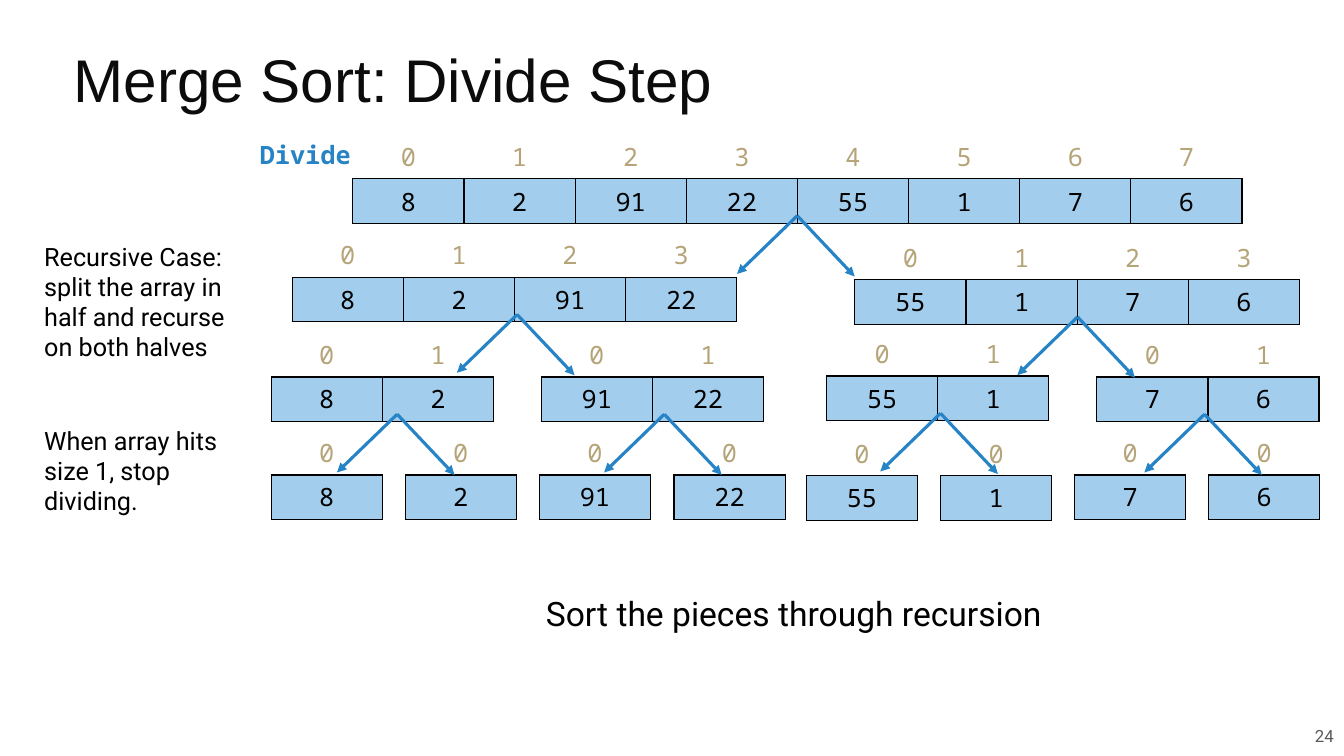
from dataclasses import dataclass

from lxml import etree
from pptx import Presentation
from pptx.dml.color import RGBColor
from pptx.enum.shapes import MSO_CONNECTOR
from pptx.enum.text import MSO_ANCHOR, PP_ALIGN
from pptx.oxml.ns import qn
from pptx.util import Pt

LEFT, CENTER, RIGHT = PP_ALIGN.LEFT, PP_ALIGN.CENTER, PP_ALIGN.RIGHT
TOP, MIDDLE = MSO_ANCHOR.TOP, MSO_ANCHOR.MIDDLE
STRAIGHT = MSO_CONNECTOR.STRAIGHT
TITLE_ONLY = 5


@dataclass(frozen=True)
class Theme:
    white: str = "FFFFFF"
    black: str = "000000"
    title: str = "0C0C0C"
    index: str = "B6A479"
    cell: str = "A2CDED"
    accent: str = "2683C6"
    page_number: str = "595959"
    heading_font: str = "Arial"
    body_font: str = "Roboto"
    code_font: str = "Noto Sans Mono"
    heading_size: float = 43
    summary_size: float = 24
    body_size: float = 18
    small_size: float = 12


THEME = Theme()

VALUES = [8, 2, 91, 22, 55, 1, 7, 6]
COLUMN_WIDTH = 79.4
ROW_HEIGHT = 29.2
TOP_ROW_HEIGHT = 32
FORK_DROP = 58.3
FORK_ARMS = [(-43, 41.6), (41, 43.4)]

# One list per recursion depth: left and top of each piece, x of its fork
LEVELS = [
    [(252, 95.8, 569.5)],
    [(208.7, 166.4, 369.4), (610.6, 168.1, 769.7)],
    [(193.7, 237.6, 283.7), (386.6, 237.6, 474.5),
     (590.4, 236.9, 671.8), (783.4, 237.6, 860.4)],
    [(193.7, 307.5, None), (289.4, 307.5, None),
     (385.2, 307.5, None), (481.4, 307.5, None),
     (576, 308.2, None), (671.8, 308.2, None),
     (767.5, 307.5, None), (863.3, 307.5, None)],
]


def write(frame, text, font=THEME.body_font, size=THEME.body_size,
          color=THEME.black, bold=False, align=LEFT, spacing=None):
    para = frame.paragraphs[0]
    para.alignment = align
    if spacing:
        para.line_spacing = spacing
    span = para.add_run()
    span.text = text
    span.font.name = font
    span.font.size = Pt(size)
    span.font.bold = bold
    span.font.color.rgb = RGBColor.from_string(color)


def add_title(page, text):
    title = page.shapes.title
    title.left, title.top = Pt(45.4), Pt(20.9)
    title.width, title.height = Pt(880.6), Pt(79.9)
    title.text_frame.vertical_anchor = MIDDLE
    write(title.text_frame, text, font=THEME.heading_font,
          size=THEME.heading_size, color=THEME.title, spacing=0.8)


def add_text(page, text, left, top, width, height, anchor=TOP, **text_format):
    box = page.shapes.add_textbox(Pt(left), Pt(top), Pt(width), Pt(height))
    box.text_frame.word_wrap = True
    box.text_frame.vertical_anchor = anchor
    write(box.text_frame, text, **text_format)


def set_borders(cell, **colors):
    """Give a cell 1 pt borders; call before its fill is set."""
    properties = cell._tc.get_or_add_tcPr()
    for side in "LRTB":
        line = etree.SubElement(properties, qn(f"a:ln{side}"), w=str(Pt(1)))
        fill = etree.SubElement(line, qn("a:solidFill"))
        etree.SubElement(fill, qn("a:srgbClr"), val=colors[side])


def fill_cell(cell, text, color, background, edge):
    set_borders(cell, L=edge, R=edge, T=edge, B=THEME.black)
    cell.fill.solid()
    cell.fill.fore_color.rgb = RGBColor.from_string(background)
    cell.vertical_anchor = MIDDLE
    write(cell.text_frame, text, font=THEME.code_font, color=color,
          align=CENTER)


def add_array(page, values, left, top, row_height):
    """Draw an array as a row of indices above a row of values."""
    frame = page.shapes.add_table(
        2, len(values), Pt(left), Pt(top),
        Pt(COLUMN_WIDTH * len(values)), Pt(2 * row_height))
    table = frame.table
    table.first_row = table.horz_banding = False
    for row in table.rows:
        row.height = Pt(row_height)
    for index, value in enumerate(values):
        table.columns[index].width = Pt(COLUMN_WIDTH)
        fill_cell(table.cell(0, index), str(index), THEME.index,
                  THEME.white, THEME.white)
        fill_cell(table.cell(1, index), str(value), THEME.black,
                  THEME.cell, THEME.black)


def add_arrow(page, x, y, across, down):
    arrow = page.shapes.add_connector(
        STRAIGHT, Pt(x), Pt(y), Pt(x + across), Pt(y + down))
    arrow.line.width = Pt(2.25)
    arrow.line.color.rgb = RGBColor.from_string(THEME.accent)
    etree.SubElement(arrow.line._get_or_add_ln(), qn("a:tailEnd"),
                     type="triangle")
    etree.SubElement(arrow._element.spPr, qn("a:effectLst"))


def add_divide_tree(page):
    for level in LEVELS:
        size = len(VALUES) // len(level)
        row_height = TOP_ROW_HEIGHT if len(level) == 1 else ROW_HEIGHT
        for number, (left, top, _) in enumerate(level):
            piece = VALUES[number * size:(number + 1) * size]
            add_array(page, piece, left, top, row_height)
    for level in LEVELS[:-1]:
        for _, top, fork_x in level:
            for across, down in FORK_ARMS:
                add_arrow(page, fork_x, top + FORK_DROP, across, down)


def main():
    deck = Presentation()
    deck.slide_width, deck.slide_height = Pt(960), Pt(540)
    page = deck.slides.add_slide(deck.slide_layouts[TITLE_ONLY])
    add_title(page, "Merge Sort: Divide Step")
    add_divide_tree(page)
    add_text(page, "Divide", 178.6, 95.8, 79.2, 29, font=THEME.code_font,
             color=THEME.accent, bold=True)
    add_text(page, "Recursive Case: split the array in half and recurse "
             "on both halves", 24.5, 168.5, 163.4, 94.3)
    add_text(page, "When array hits size 1, stop dividing.",
             24.5, 300.2, 163.4, 72.7)
    add_text(page, "Sort the pieces through recursion", 255.6, 419.8, 622.8,
             36, size=THEME.summary_size, align=CENTER)
    add_text(page, "24", 622.8, 511.2, 337, 28.8, anchor=MIDDLE,
             size=THEME.small_size, color=THEME.page_number, align=RIGHT)
    deck.save("out.pptx")


if __name__ == "__main__":
    main()
